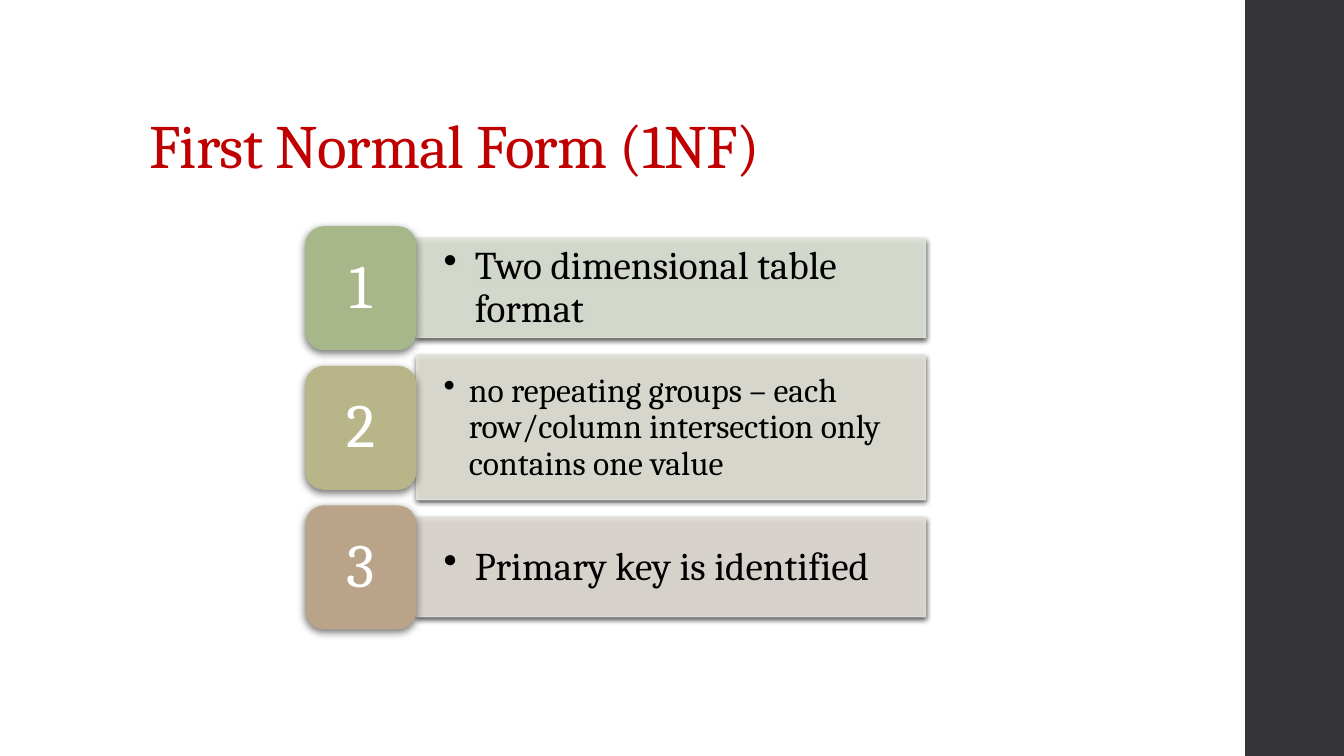
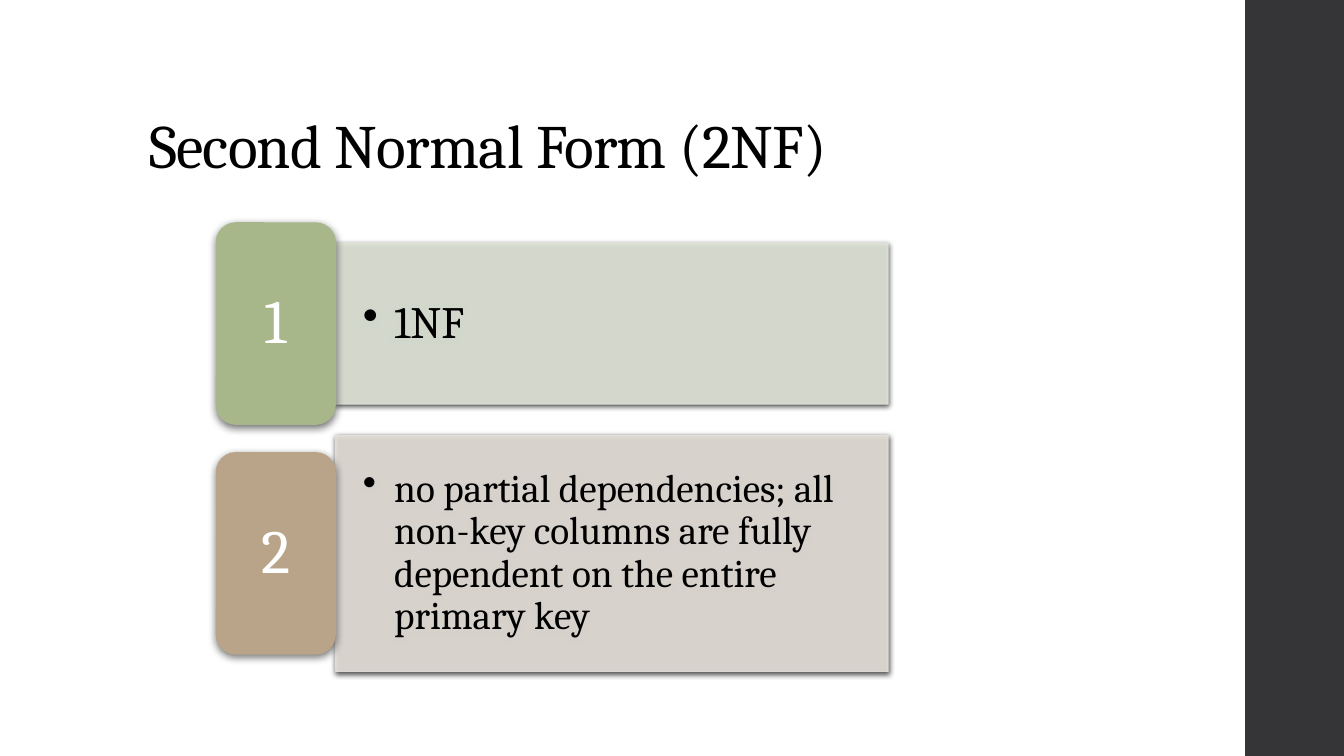
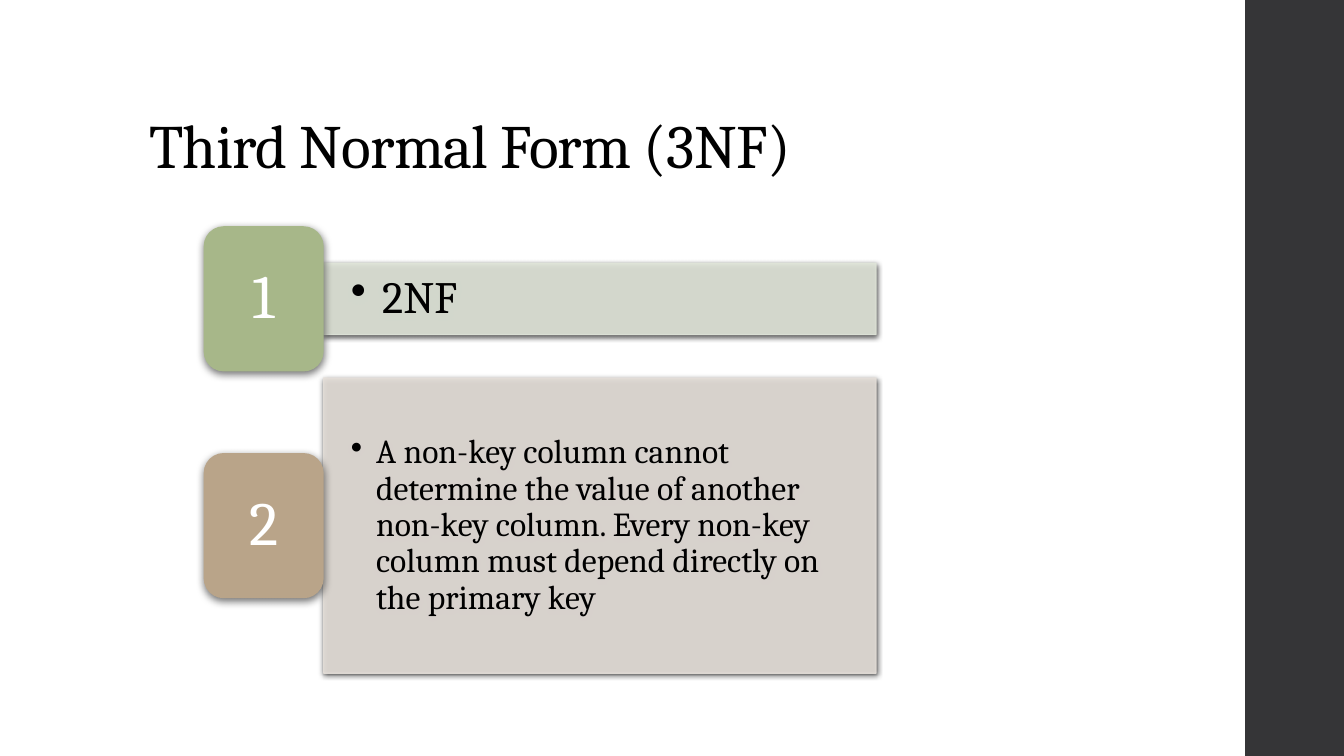
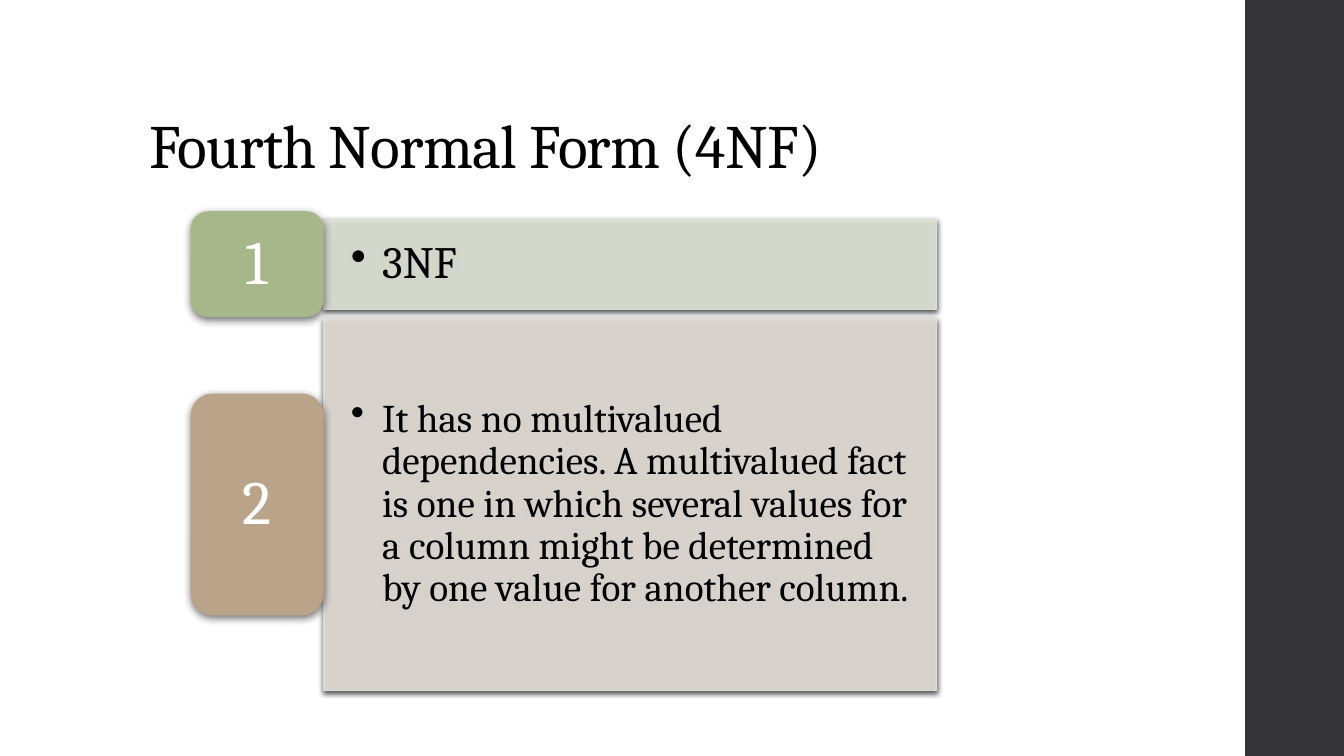
from dataclasses import dataclass

from lxml.etree import SubElement
from pptx import Presentation
from pptx.dml.color import RGBColor
from pptx.enum.shapes import MSO_SHAPE
from pptx.enum.text import MSO_ANCHOR, MSO_AUTO_SIZE, PP_ALIGN
from pptx.oxml.ns import qn
from pptx.util import Inches, Pt

FONT = "Cambria"
BLACK = RGBColor(0x00, 0x00, 0x00)
WHITE = RGBColor(0xFF, 0xFF, 0xFF)
RED = RGBColor(0xC0, 0x00, 0x00)
CHARCOAL = RGBColor(0x35, 0x35, 0x37)
# Badge colour and the paler panel colour that goes with it
GREEN = RGBColor(0xA7, 0xB7, 0x89), RGBColor(0xE1, 0xE6, 0xDA)
OLIVE = RGBColor(0xB8, 0xB6, 0x89), RGBColor(0xE6, 0xE5, 0xDA)
TAN = RGBColor(0xB9, 0xA4, 0x89), RGBColor(0xE6, 0xE0, 0xDA)

SLIDE_WIDTH, SLIDE_HEIGHT = 13.33, 7.5
BAND_LEFT = 12.35
TITLE_BOX = 1.38, 0.4, 10.6, 1.45


@dataclass
class Rule:
    text: str
    size: int
    panel_height: float
    badge_height: float
    colours: tuple


@dataclass
class NormalForm:
    title: str
    left: float
    top: float
    badge_width: float
    panel_width: float
    gap: float
    rules: list
    title_colour: RGBColor = BLACK


NORMAL_FORMS = [
    NormalForm("First Normal Form (1NF)", 3.03, 2.37, 1.1, 5.05, 0.18, [
        Rule("Two dimensional table format", 28, 0.98, 1.23, GREEN),
        Rule("no repeating groups – each row/column intersection only "
             "contains one value", 24, 1.43, 1.23, OLIVE),
        Rule("Primary key is identified", 28, 0.98, 1.23, TAN),
    ], title_colour=RED),
    NormalForm("Second Normal Form (2NF)", 2.14, 2.41, 1.19, 5.48, 0.31, [
        Rule("1NF", 32, 1.6, 2.01, GREEN),
        Rule("no partial dependencies; all non-key columns are fully "
             "dependent on the entire primary key", 28, 2.34, 2.01, TAN),
    ]),
    NormalForm("Third Normal Form (3NF)", 2.02, 2.61, 1.19, 5.48, 0.43, [
        Rule("2NF", 32, 0.71, 1.44, GREEN),
        Rule("A non-key column cannot determine the value of another non-key "
             "column. Every non-key column must depend directly on the "
             "primary key", 24, 2.93, 1.44, TAN),
    ]),
    NormalForm("Fourth Normal Form (4NF)", 1.89, 2.17, 1.32, 6.08, 0.09, [
        Rule("3NF", 32, 0.9, 1.05, GREEN),
        Rule("It has no multivalued dependencies. A multivalued fact is one in "
             "which several values for a column might be determined by one "
             "value for another column.", 28, 3.69, 2.2, TAN),
    ]),
]


def write(shape, text, size=44, colour=BLACK, align=PP_ALIGN.LEFT,
          anchor=MSO_ANCHOR.MIDDLE, inset=(0.1, 0.05), hanging=0, spacing=0):
    """Fill a shape with one paragraph; hanging is the bullet indent in inches."""
    frame = shape.text_frame
    frame.word_wrap = True
    frame.auto_size = MSO_AUTO_SIZE.NONE
    frame.vertical_anchor = anchor
    frame.margin_left = frame.margin_right = Inches(inset[0])
    frame.margin_top = frame.margin_bottom = Inches(inset[1])
    paragraph = frame.paragraphs[0]
    paragraph.alignment = align
    paragraph.line_spacing = 0.9
    run = paragraph.add_run()
    run.text = text
    run.font.name = FONT
    run.font.size = Pt(size)
    run.font.color.rgb = colour
    if spacing:
        run.font._element.set("spc", str(round(spacing * 100)))
    if hanging:
        properties = paragraph._p.get_or_add_pPr()
        properties.set("marL", str(Inches(hanging)))
        properties.set("indent", str(-Inches(hanging)))
        SubElement(properties, qn("a:buChar"), char="•")


def add_block(slide, kind, box, colour):
    block = slide.shapes.add_shape(kind, *map(Inches, box))
    block.shadow.inherit = False
    block.fill.solid()
    block.fill.fore_color.rgb = colour
    block.line.fill.background()
    return block


def set_alpha(colour_element, percent):
    SubElement(colour_element, qn("a:alpha"), val=str(percent * 1000))


def cast_shadow(shape, opacity, blur, distance):
    effects = shape._element.spPr.find(qn("a:effectLst"))
    shadow = SubElement(effects, qn("a:outerShdw"), blurRad=str(Pt(blur)),
                        dist=str(Pt(distance)), dir="5400000",
                        algn="ctr", rotWithShape="0")
    set_alpha(SubElement(shadow, qn("a:srgbClr"), val=str(BLACK)), opacity)


def add_panel(slide, box, rule):
    colour = rule.colours[1]
    panel = add_block(slide, MSO_SHAPE.RECTANGLE, box, colour)
    panel.line.color.rgb = colour
    panel.line.width = Pt(0.75)
    for colour_element in panel._element.spPr.iter(qn("a:srgbClr")):
        set_alpha(colour_element, 90)
    cast_shadow(panel, opacity=75, blur=4, distance=1.2)
    write(panel, rule.text, size=rule.size, inset=(0.27, 0.14),
          hanging=0.25 if rule.size < 28 else 0.31)


def add_badge(slide, box, number, colour):
    badge = add_block(slide, MSO_SHAPE.ROUNDED_RECTANGLE, box, colour)
    cast_shadow(badge, opacity=55, blur=6, distance=2)
    write(badge, str(number), colour=WHITE, align=PP_ALIGN.CENTER,
          inset=(0.18, 0.09))


def add_rules(slide, form):
    """Stack the panels, each with its badge centred beside it."""
    top = form.top
    panel_left = form.left + form.badge_width
    for number, rule in enumerate(form.rules, 1):
        badge_top = top + (rule.panel_height - rule.badge_height) / 2
        add_panel(slide, (panel_left, top, form.panel_width,
                          rule.panel_height), rule)
        add_badge(slide, (form.left, badge_top, form.badge_width,
                          rule.badge_height), number, rule.colours[0])
        top += rule.panel_height + form.gap


def add_title(slide, text, colour):
    title = slide.shapes.title
    title.left, title.top, title.width, title.height = map(Inches, TITLE_BOX)
    write(title, text, colour=colour, anchor=MSO_ANCHOR.BOTTOM, spacing=-0.5)


def add_master_band(presentation, slide):
    """Draw the side band on a slide, then move it to the master."""
    band = add_block(slide, MSO_SHAPE.RECTANGLE,
                     (BAND_LEFT, 0, SLIDE_WIDTH - BAND_LEFT, SLIDE_HEIGHT),
                     CHARCOAL)
    presentation.slide_master.shapes._spTree.insert(2, band._element)


def main():
    presentation = Presentation()
    presentation.slide_width = Inches(SLIDE_WIDTH)
    presentation.slide_height = Inches(SLIDE_HEIGHT)
    title_only = presentation.slide_layouts[5]
    for form in NORMAL_FORMS:
        slide = presentation.slides.add_slide(title_only)
        add_title(slide, form.title, form.title_colour)
        add_rules(slide, form)
    add_master_band(presentation, presentation.slides[0])
    presentation.save("out.pptx")


if __name__ == "__main__":
    main()
